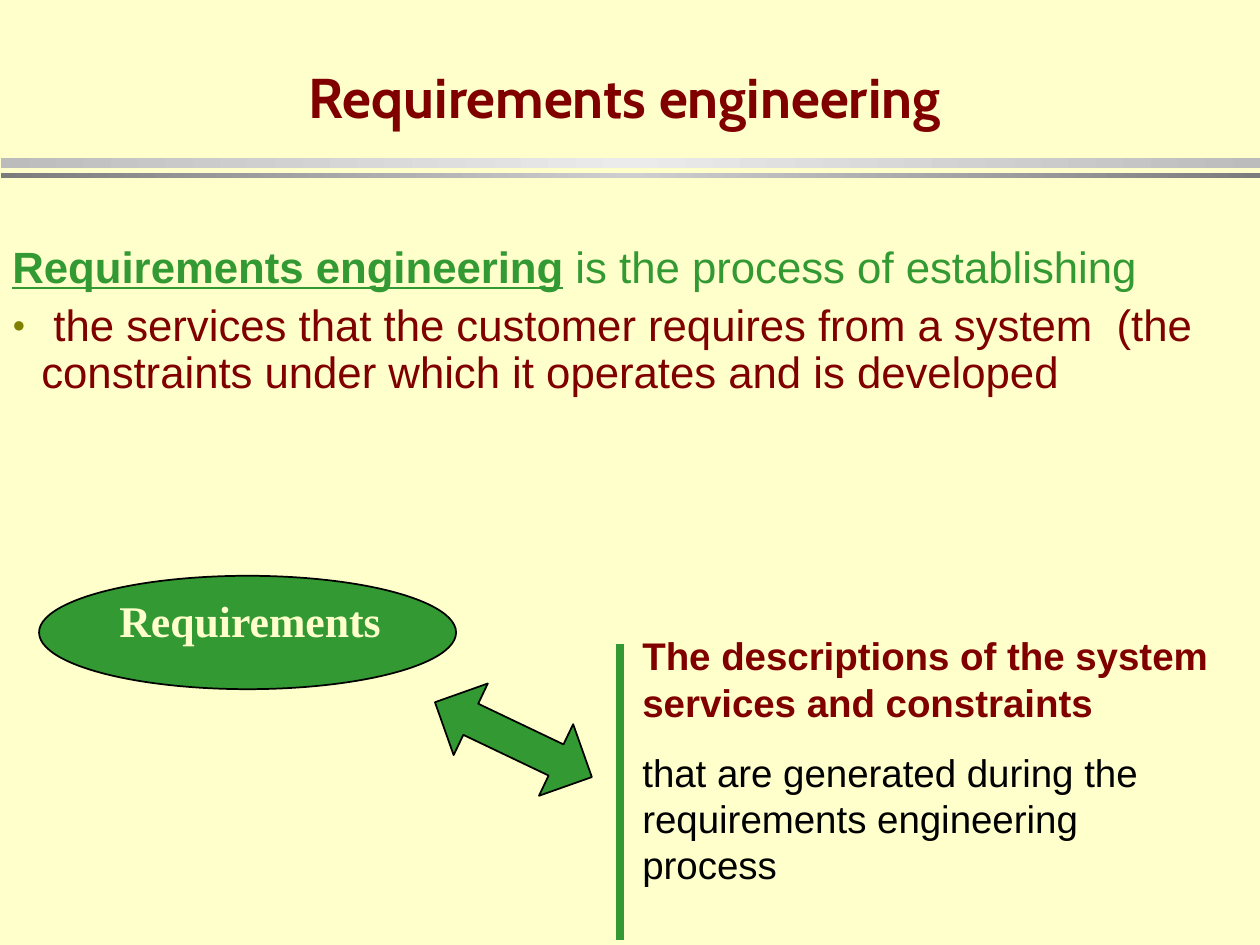
from copy import deepcopy
from dataclasses import dataclass

from lxml.etree import SubElement
from pptx import Presentation
from pptx.dml.color import RGBColor as Color
from pptx.enum.shapes import MSO_CONNECTOR as Connector, MSO_SHAPE as Shape
from pptx.enum.text import MSO_ANCHOR as Anchor, MSO_AUTO_SIZE as AutoSize, PP_ALIGN as Align
from pptx.oxml.ns import qn
from pptx.util import Inches, Pt


@dataclass(frozen=True)
class Theme:
    background: str = "FFFFCC"
    maroon: str = "800000"
    green: str = "339933"
    olive: str = "808000"
    black: str = "000000"
    title_font: str = "Cabin"
    body_font: str = "Arial"
    label_font: str = "Times New Roman"
    title_size: int = 32
    body_size: int = 25
    note_size: int = 22


@dataclass(frozen=True)
class Box:
    left: float
    top: float
    width: float
    height: float

    def lengths(self) -> tuple:
        return tuple(map(Inches, (self.left, self.top, self.width, self.height)))


@dataclass(frozen=True)
class Span:
    text: str
    color: str
    bold: bool = False
    underline: bool = False


THEME = Theme()


def write_spans(paragraph, spans: list[Span], font: str, size: int) -> None:
    for span in spans:
        run = paragraph.add_run()
        run.text = span.text
        run.font.name, run.font.size = font, Pt(size)
        run.font.bold, run.font.underline = span.bold, span.underline
        run.font.color.rgb = Color.from_string(span.color)


def add_text(slide, box: Box, paragraphs: list[list[Span]], font: str, size: int,
             gap: float = 0, line_spacing: float = 1.0):
    frame = slide.shapes.add_textbox(*box.lengths()).text_frame
    frame.word_wrap = True
    for index, spans in enumerate(paragraphs):
        paragraph = frame.add_paragraph() if index else frame.paragraphs[0]
        paragraph.line_spacing = line_spacing
        paragraph.space_before = Pt(gap if index else 0)
        write_spans(paragraph, spans, font, size)
    return frame


def add_bullet(paragraph, indent: float) -> None:
    properties = paragraph._p.get_or_add_pPr()
    properties.set("marL", str(Inches(indent)))
    properties.set("indent", str(-Inches(indent)))
    color = SubElement(properties, qn("a:buClr"))
    SubElement(color, qn("a:srgbClr"), val=THEME.olive)
    SubElement(properties, qn("a:buSzPct"), val="50000")
    SubElement(properties, qn("a:buFont"), typeface=THEME.body_font)
    SubElement(properties, qn("a:buChar"), char="●")


def add_gradient_bar(slide, box: Box, edge: str, middle: str) -> None:
    bar = slide.shapes.add_shape(Shape.RECTANGLE, *box.lengths())
    bar.shadow.inherit = False
    bar.line.fill.background()
    bar.fill.gradient()
    bar.fill.gradient_angle = 0
    first = bar._element.spPr.find(f".//{qn('a:gs')}")
    first.addnext(deepcopy(first))
    for stop, position, color in zip(bar.fill.gradient_stops, (0, 0.5, 1), (edge, middle, edge)):
        stop.position = position
        stop.color.rgb = Color.from_string(color)


def add_green_shape(slide, kind: Shape, box: Box):
    shape = slide.shapes.add_shape(kind, *box.lengths())
    shape.shadow.inherit = False
    shape.fill.solid()
    shape.fill.fore_color.rgb = Color.from_string(THEME.green)
    shape.line.color.rgb = Color.from_string(THEME.black)
    shape.line.width = Pt(1)
    return shape


def add_title(slide, box: Box, text: str) -> None:
    title = slide.shapes.title
    title.left, title.top, title.width, title.height = box.lengths()
    frame = title.text_frame
    frame.auto_size = AutoSize.NONE
    frame.vertical_anchor = Anchor.BOTTOM
    frame.paragraphs[0].alignment = Align.CENTER
    write_spans(frame.paragraphs[0], [Span(text, THEME.maroon, bold=True)],
                THEME.title_font, THEME.title_size)


def main() -> None:
    presentation = Presentation()
    presentation.slide_width, presentation.slide_height = Inches(10), Inches(7.5)
    slide = presentation.slides.add_slide(presentation.slide_layouts[5])
    slide.background.fill.solid()
    slide.background.fill.fore_color.rgb = Color.from_string(THEME.background)

    # Title and the double rule below it
    add_gradient_bar(slide, Box(0.01, 1.25, 9.99, 0.08), "BCBCBC", "EBEBEB")
    add_gradient_bar(slide, Box(0.01, 1.37, 9.99, 0.04), "7C7C7C", "CECECE")
    add_title(slide, Box(0, 0, 9.92, 1.08), "Requirements engineering")

    # Definition
    definition = add_text(slide, Box(0, 1.9, 9.92, 1.31), [
        [Span("Requirements engineering", THEME.green, bold=True, underline=True),
         Span(" is the process of establishing", THEME.green)],
        [Span(" the services that the customer requires from a system  (the constraints "
              "under which it operates and is developed", THEME.maroon)],
    ], THEME.body_font, THEME.body_size, gap=6.2, line_spacing=0.9)
    add_bullet(definition.paragraphs[1], indent=0.23)

    # Requirements label on its ellipse
    add_green_shape(slide, Shape.OVAL, Box(0.31, 4.57, 3.31, 0.9))
    add_text(slide, Box(0.85, 4.66, 2.53, 0.52),
             [[Span("Requirements", THEME.background, bold=True)]],
             THEME.label_font, THEME.body_size)

    # Arrow between the label and its explanation
    arrow = add_green_shape(slide, Shape.UP_DOWN_ARROW, Box(3.76, 5.18, 0.63, 1.38))
    arrow.adjustments[0], arrow.adjustments[1] = 0.5, 0.435
    arrow.rotation = 295.5

    # Explanation with a side rule
    add_text(slide, Box(5, 4.97, 4.77, 2.13), [
        [Span("The descriptions of the system services and constraints", THEME.maroon, bold=True)],
        [Span("that are generated during the requirements engineering process", THEME.black)],
    ], THEME.body_font, THEME.note_size, gap=13.8)
    rule = slide.shapes.add_connector(Connector.STRAIGHT, Inches(4.92), Inches(5.11),
                                      Inches(4.92), Inches(7.46))
    rule.line.color.rgb = Color.from_string(THEME.green)
    rule.line.width = Pt(4.5)
    SubElement(rule._element.spPr, qn("a:effectLst"))

    presentation.save("out.pptx")


if __name__ == "__main__":
    main()
